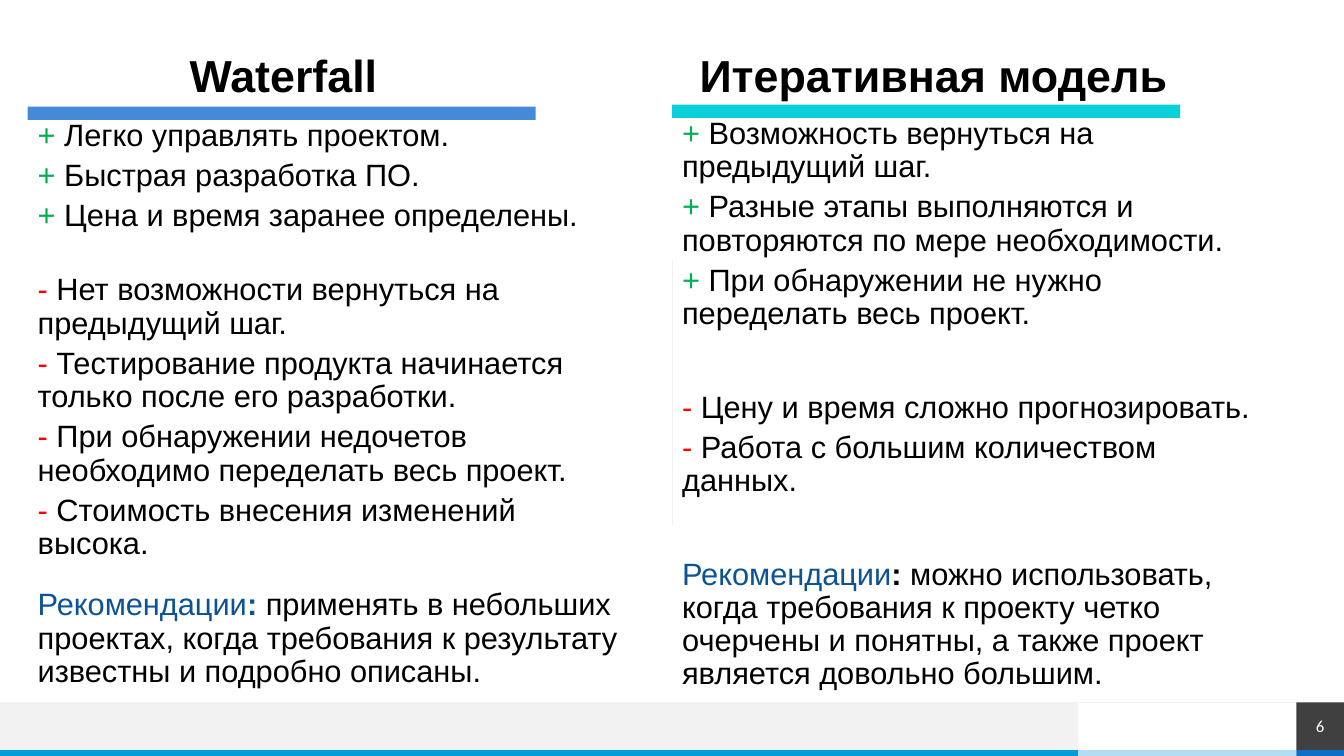
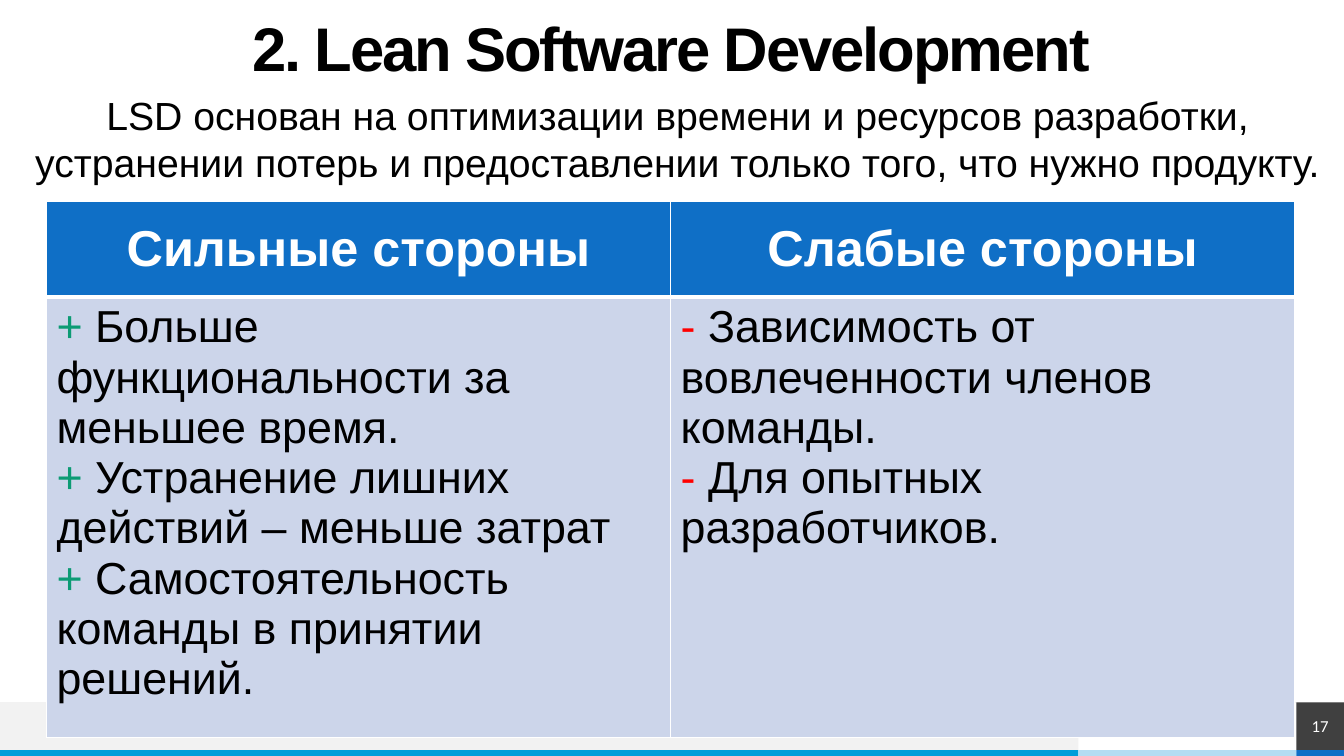
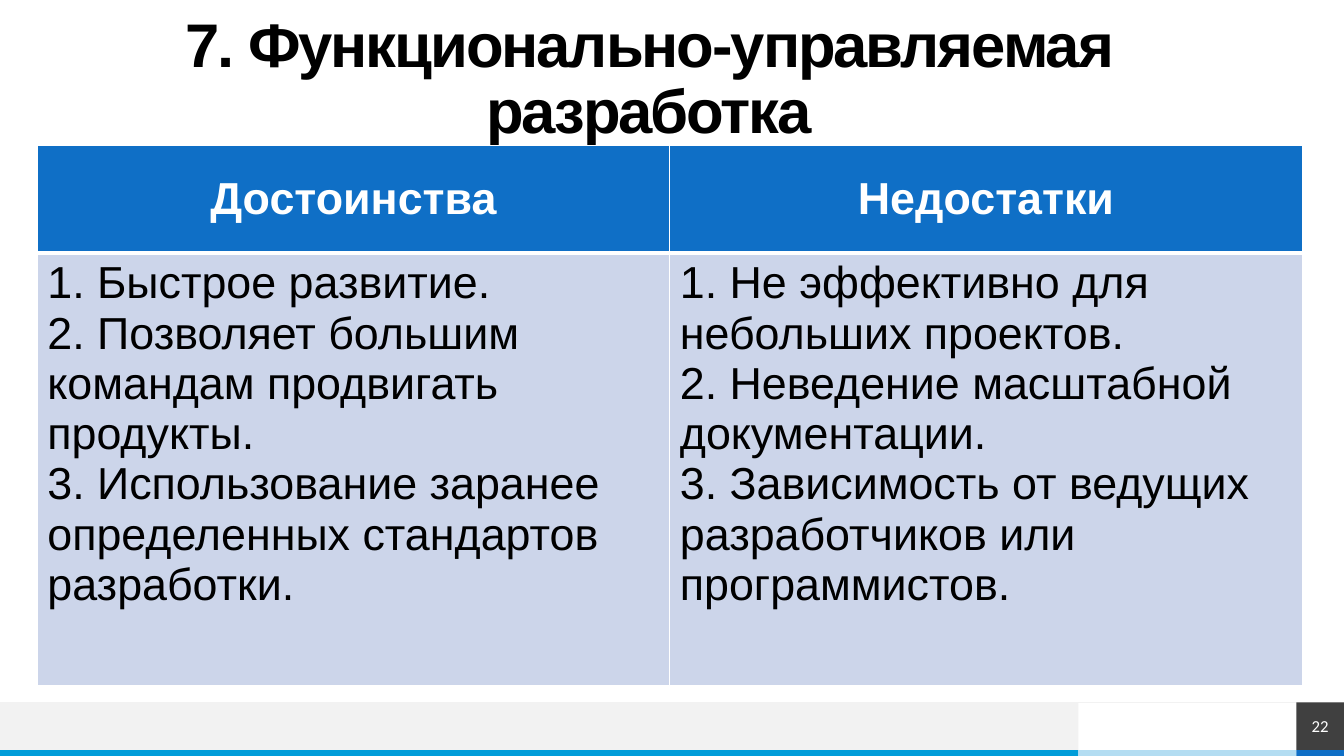
"""Build three slides comparing software development models."""
from lxml.etree import SubElement
from pptx import Presentation
from pptx.dml.color import RGBColor
from pptx.enum.shapes import MSO_CONNECTOR, MSO_SHAPE
from pptx.enum.text import MSO_ANCHOR as Anchor, MSO_AUTO_SIZE as AutoSize, PP_ALIGN as Align
from pptx.oxml.ns import qn
from pptx.util import Cm, Pt

BLACK = RGBColor(0x00, 0x00, 0x00)
WHITE = RGBColor(0xFF, 0xFF, 0xFF)
GREEN = RGBColor(0x00, 0xB0, 0x50)
TEAL = RGBColor(0x0C, 0x9B, 0x74)
RED = RGBColor(0xFF, 0x00, 0x00)
NAVY = RGBColor(0x0B, 0x53, 0x94)
BLUE = RGBColor(0x0F, 0x6F, 0xC6)
SKY = RGBColor(0x00, 0x9D, 0xD9)
PALE_SKY = RGBColor(0xB3, 0xDD, 0xF2)
SOFT_BLUE = RGBColor(0x44, 0x8A, 0xD7)
CYAN = RGBColor(0x0B, 0xD0, 0xD9)
CELL_BLUE = RGBColor(0xCC, 0xD5, 0xEA)
LIGHT = RGBColor(0xF2, 0xF2, 0xF2)
DARK = RGBColor(0x40, 0x40, 0x40)

WIDTH, HEIGHT = 33.87, 19.05
FOOTER_TOP, STRIP_TOP = 17.7, 18.9
BAND_END, NUMBER_LEFT = 27.18, 32.67
BAR_HEIGHT = 0.33
COLUMN_WIDTH = 15.19

BANDS = [
    (0, FOOTER_TOP, BAND_END, STRIP_TOP - FOOTER_TOP, LIGHT),
    (0, STRIP_TOP, BAND_END, HEIGHT - STRIP_TOP, SKY),
    (BAND_END, STRIP_TOP, NUMBER_LEFT - BAND_END, HEIGHT - STRIP_TOP, PALE_SKY),
    (NUMBER_LEFT, STRIP_TOP, WIDTH - NUMBER_LEFT, HEIGHT - STRIP_TOP, BLUE),
]

MODELS = [
    {
        "heading": "Waterfall", "heading_left": 4.78,
        "left": 0.7, "bar_top": 2.69, "bar_color": SOFT_BLUE, "colon_color": NAVY,
        "pros": ["Легко управлять проектом.", "Быстрая разработка ПО.",
                 "Цена и время заранее определены."],
        "cons": ["Нет возможности вернуться на предыдущий шаг.",
                 "Тестирование продукта начинается только после его разработки.",
                 "При обнаружении недочетов необходимо переделать весь проект.",
                 "Стоимость внесения изменений высока."],
        "advice": "применять в небольших проектах, когда требования к результату "
                  "известны и подробно описаны.",
        "cons_gap": 24, "advice_gap": 15,
    },
    {
        "heading": "Итеративная модель", "heading_left": 17.63,
        "left": 16.94, "bar_top": 2.64, "bar_color": CYAN, "colon_color": BLACK,
        "pros": ["Возможность вернуться на предыдущий шаг.",
                 "Разные этапы выполняются и повторяются по мере необходимости.",
                 "При обнаружении не нужно переделать весь проект."],
        "cons": ["Цену и время сложно прогнозировать.",
                 "Работа с большим количеством данных."],
        "advice": "можно использовать, когда требования к проекту четко очерчены и "
                  "понятны, а также проект является довольно большим.",
        "cons_gap": 38, "advice_gap": 38,
    },
]

TABLE_SLIDES = [
    {
        "number": 17, "title": "2. Lean Software Development",
        "title_box": (1.17, 0.71, 31.5, 1.2),
        "intro": "LSD основан на оптимизации времени и ресурсов разработки, устранении "
                 "потерь и предоставлении только того, что нужно продукту.",
        "table_at": (1.17, 5.08, 31.46), "rows": (2.41, 11.1), "head_size": 36,
        "columns": [
            ("Сильные стороны", [("+", TEAL, " Больше функциональности за меньшее время."),
                                 ("+", TEAL, " Устранение лишних действий – меньше затрат"),
                                 ("+", TEAL, " Самостоятельность команды в принятии решений.")]),
            ("Слабые стороны", [("-", RED, " Зависимость от вовлеченности членов команды."),
                                ("-", RED, " Для опытных разработчиков.")]),
        ],
    },
    {
        "number": 22, "title": "7. Функционально-управляемая разработка",
        "title_box": (1.47, 0.46, 29.77, 3.15),
        "intro": None,
        "table_at": (0.94, 3.66, 31.88), "rows": (2.72, 10.9), "head_size": 32,
        "columns": [
            ("Достоинства", [("1.", BLACK, " Быстрое развитие."),
                             ("2.", BLACK, " Позволяет большим командам продвигать продукты."),
                             ("3.", BLACK, " Использование заранее определенных стандартов "
                                           "разработки.")]),
            ("Недостатки", [("1.", BLACK, " Не эффективно для небольших проектов."),
                            ("2.", BLACK, " Неведение масштабной документации."),
                            ("3.", BLACK, " Зависимость от ведущих разработчиков или "
                                          "программистов.")]),
        ],
    },
]


def place(shape, left, top, width, height):
    shape.left, shape.top, shape.width, shape.height = map(Cm, (left, top, width, height))


def set_font(font, size, color=BLACK, bold=False, name="Arial"):
    font.name, font.size, font.bold = name, Pt(size), bold
    font.color.rgb = color


def add_span(para, text, color=None, bold=None):
    span = para.add_run()
    span.text = text
    if color is not None:
        span.font.color.rgb = color
    if bold is not None:
        span.font.bold = bold
    return span


def next_paragraph(frame, index):
    return frame.add_paragraph() if index else frame.paragraphs[0]


def prepare_frame(frame, anchor):
    frame.word_wrap = True
    frame.auto_size = AutoSize.NONE
    frame.vertical_anchor = anchor
    frame.margin_left = frame.margin_right = frame.margin_top = frame.margin_bottom = 0


def format_paragraph(para, indent=0, before=0, after=0):
    properties = para._p.get_or_add_pPr()
    properties.set("marL", str(Cm(indent)))
    properties.set("indent", "0")
    SubElement(properties, qn("a:buNone"))
    para.line_spacing = 0.9
    para.space_before, para.space_after = Pt(before), Pt(after)


def add_block(slide, left, top, width, height, color):
    block = slide.shapes.add_shape(MSO_SHAPE.RECTANGLE, *map(Cm, (left, top, width, height)))
    block.shadow.inherit = False
    block.fill.solid()
    block.fill.fore_color.rgb = color
    block.line.fill.background()
    return block


def add_rule(slide, *ends):
    rule = slide.shapes.add_connector(MSO_CONNECTOR.STRAIGHT, *map(Cm, ends))
    rule.line.color.rgb = LIGHT
    rule.line.width = Pt(0.5)
    SubElement(rule._element.spPr, qn("a:effectLst"))


def add_slide(deck, layout_index, number):
    slide = deck.slides.add_slide(deck.slide_layouts[layout_index])
    for band in BANDS:
        add_block(slide, *band)
    add_rule(slide, WIDTH, FOOTER_TOP, 0, FOOTER_TOP)
    box = add_block(slide, NUMBER_LEFT, FOOTER_TOP, WIDTH - NUMBER_LEFT,
                    STRIP_TOP - FOOTER_TOP, DARK)
    prepare_frame(box.text_frame, Anchor.MIDDLE)
    para = box.text_frame.paragraphs[0]
    para.alignment = Align.CENTER
    set_font(para.font, 12, WHITE, name="Calibri")
    add_span(para, str(number), WHITE)
    return slide


def fill_model(slide, model, heading, body):
    bar_top, left = model["bar_top"], model["left"]
    body_top = bar_top + BAR_HEIGHT
    add_block(slide, left, bar_top, 12.8, BAR_HEIGHT, model["bar_color"])

    place(heading, model["heading_left"], 1.35, COLUMN_WIDTH, 1)
    prepare_frame(heading.text_frame, Anchor.TOP)
    para = heading.text_frame.paragraphs[0]
    format_paragraph(para)
    set_font(para.font, 32, bold=True)
    add_span(para, model["heading"])

    place(body, left, body_top, COLUMN_WIDTH, FOOTER_TOP - body_top)
    prepare_frame(body.text_frame, Anchor.TOP)
    items = [("+", GREEN, text, 0) for text in model["pros"]]
    items += [("-", RED, text, 0 if index else model["cons_gap"])
              for index, text in enumerate(model["cons"])]
    for index, (mark, color, text, before) in enumerate(items):
        para = next_paragraph(body.text_frame, index)
        format_paragraph(para, 0.25, before, 5)
        set_font(para.font, 22)
        add_span(para, mark, color)
        add_span(para, f" {text}")

    para = body.text_frame.add_paragraph()
    format_paragraph(para, 0.25, model["advice_gap"])
    set_font(para.font, 22)
    add_span(para, "Рекомендации", NAVY)
    add_span(para, ": ", model["colon_color"], True)
    add_span(para, model["advice"])


def add_model_slide(deck):
    slide = add_slide(deck, 4, 6)
    title, *parts = slide.placeholders
    title._element.getparent().remove(title._element)
    for model, heading, body in zip(MODELS, parts[::2], parts[1::2]):
        fill_model(slide, model, heading, body)
    add_rule(slide, 16.94, 6.55, 16.94, 13.26)


def style_cell(cell, color, bottom_width):
    properties = cell._tc.get_or_add_tcPr()
    for side, width in (("L", 1), ("R", 1), ("T", 1), ("B", bottom_width)):
        border = SubElement(properties, qn(f"a:ln{side}"), w=str(Pt(width)))
        paint = SubElement(border, qn("a:solidFill"))
        SubElement(paint, qn("a:srgbClr"), val=str(WHITE))
    cell.fill.solid()
    cell.fill.fore_color.rgb = color


def add_comparison(slide, content):
    left, top, width = content["table_at"]
    heights, columns = content["rows"], content["columns"]
    frame = slide.shapes.add_table(len(heights), len(columns),
                                   *map(Cm, (left, top, width, sum(heights))))
    table = frame.table
    for row, height in zip(table.rows, heights):
        row.height = Cm(height)
    for index, (heading, items) in enumerate(columns):
        table.columns[index].width = Cm(width / len(columns))
        head, body = table.cell(0, index), table.cell(1, index)
        style_cell(head, BLUE, 3)
        head.vertical_anchor = Anchor.MIDDLE
        para = head.text_frame.paragraphs[0]
        para.alignment = Align.CENTER
        set_font(para.font, content["head_size"], WHITE, True)
        add_span(para, heading)
        style_cell(body, CELL_BLUE, 1)
        for position, (mark, color, text) in enumerate(items):
            para = next_paragraph(body.text_frame, position)
            set_font(para.font, 32)
            add_span(para, mark, color)
            add_span(para, text)


def add_table_slide(deck, content):
    slide = add_slide(deck, 5, content["number"])
    title = slide.shapes.title
    place(title, *content["title_box"])
    prepare_frame(title.text_frame, Anchor.MIDDLE)
    para = title.text_frame.paragraphs[0]
    para.alignment = Align.CENTER
    para.line_spacing = 0.9
    set_font(para.font, 44, bold=True)
    add_span(para, content["title"])._r.get_or_add_rPr().set("spc", "-150")
    if content["intro"]:
        box = slide.shapes.add_textbox(*map(Cm, (0.28, 2.18, 33.58, 2.64)))
        box.text_frame.word_wrap = True
        para = box.text_frame.paragraphs[0]
        para.alignment = Align.CENTER
        set_font(para.font, 28)
        add_span(para, content["intro"])
    add_comparison(slide, content)


def main():
    deck = Presentation()
    deck.slide_width, deck.slide_height = Cm(WIDTH), Cm(HEIGHT)
    add_model_slide(deck)
    for content in TABLE_SLIDES:
        add_table_slide(deck, content)
    deck.save("out.pptx")


if __name__ == "__main__":
    main()
